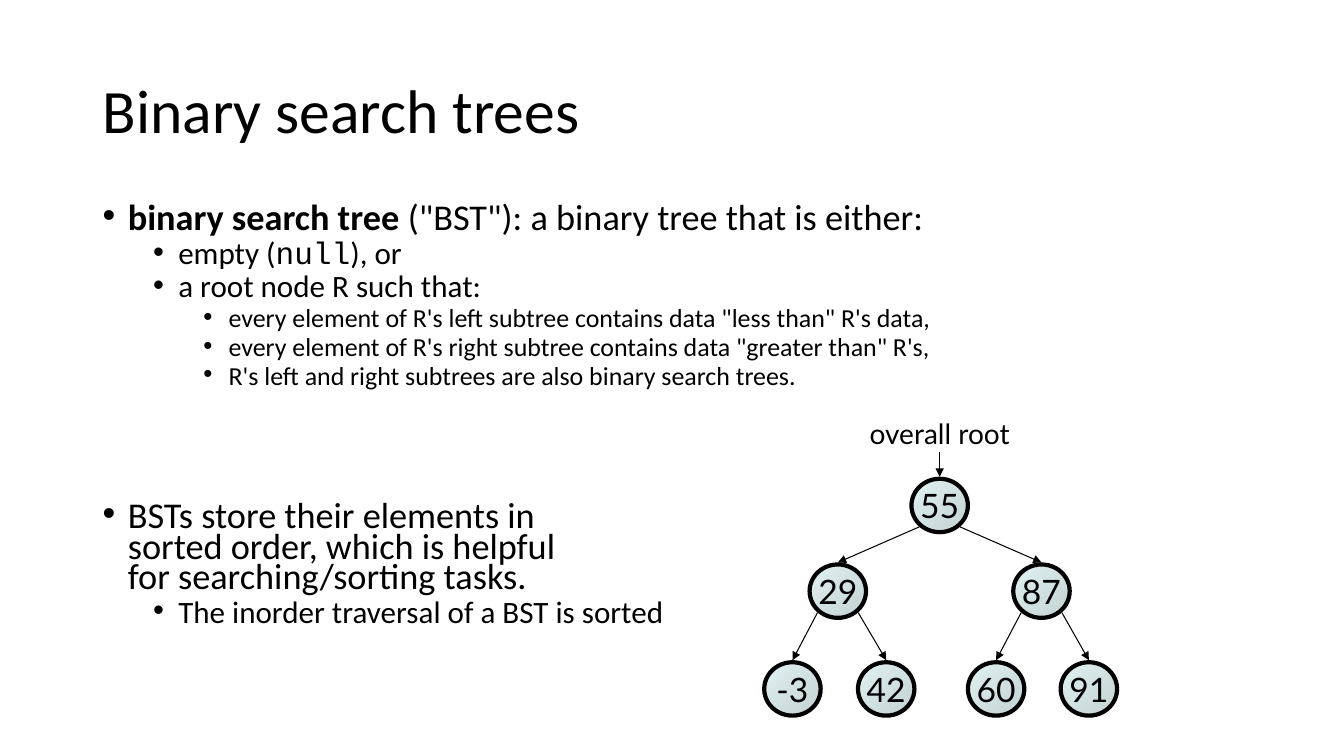
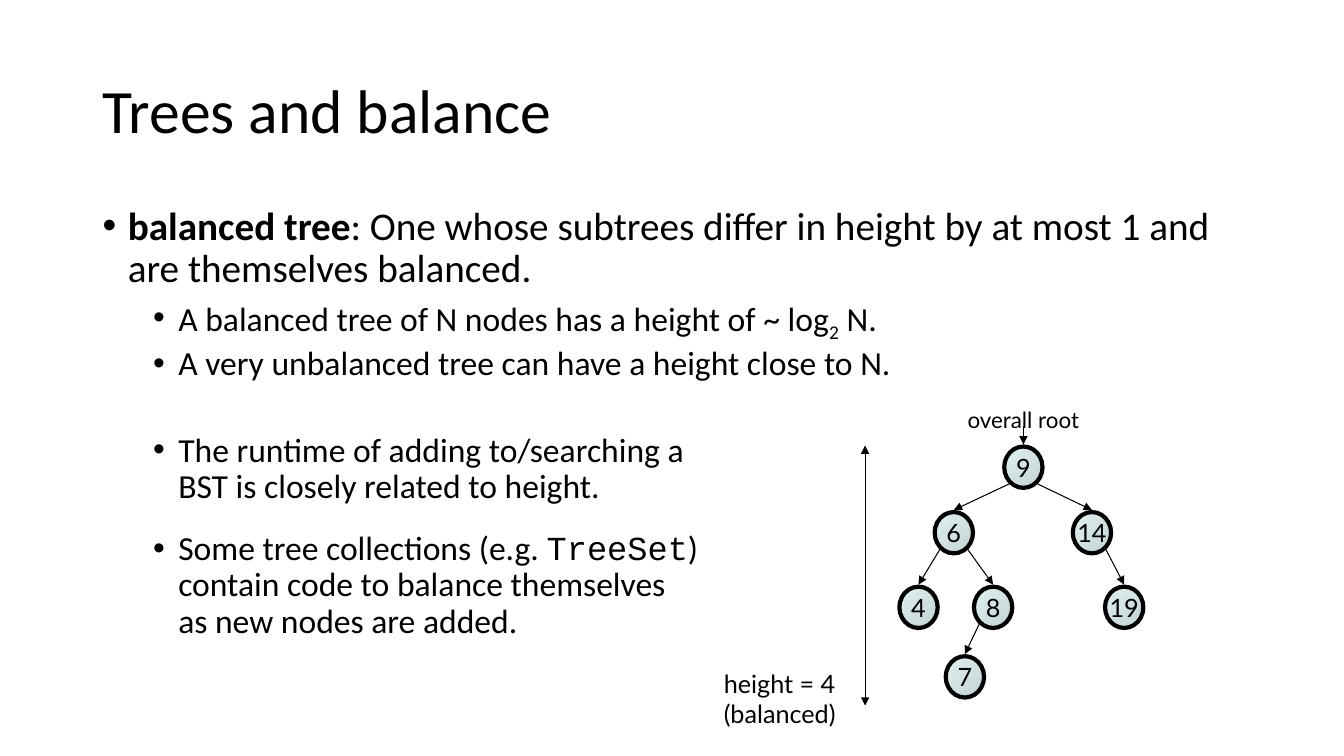
from dataclasses import dataclass

from lxml import etree
from pptx import Presentation
from pptx.dml.color import RGBColor
from pptx.enum import shapes, text
from pptx.oxml import ns
from pptx.util import Inches, Pt

BLACK = RGBColor(0, 0, 0)
LIGHT = RGBColor(0xE1, 0xF2, 0xF3)
DARK = RGBColor(0xC3, 0xD2, 0xD3)
BODY, MONO, LABEL = "Calibri", "Courier New", "Lato"


@dataclass(frozen=True)
class Span:
    text: str
    bold: bool = False
    font: str = BODY
    base: int = 0


@dataclass(frozen=True)
class Point:
    level: int
    spans: list[Span]
    gap: float = 0  # points before; 0 means the usual gap of the level


@dataclass(frozen=True)
class Node:
    key: int
    x: float
    kids: tuple["Node", ...] = ()


@dataclass(frozen=True)
class Tree:
    root: Node
    rows: list[float]
    wide: float
    high: float
    size: int
    label: float
    note: int


def style(run, size: float, font: str = BODY) -> None:
    run.font.size = Pt(size)
    run.font.name = font
    run.font.color.rgb = BLACK


def add_box(slide, left: float, top: float, width: float, height: float, wrap: bool = True):
    box = slide.shapes.add_textbox(Inches(left), Inches(top), Inches(width), Inches(height))
    box.text_frame.word_wrap = wrap
    return box.text_frame


def add_title(slide, words: str) -> None:
    frame = add_box(slide, 0.92, 0.4, 11.5, 1.45)
    frame.vertical_anchor = text.MSO_ANCHOR.MIDDLE
    frame.text = words
    para = frame.paragraphs[0]
    para.line_spacing = 0.9
    style(para.runs[0], 44)


def add_note(slide, left: float, top: float, width: float, height: float,
             words: str, size: int, align) -> None:
    frame = add_box(slide, left, top, width, height, wrap=False)
    frame.text = words
    for para in frame.paragraphs:
        para.alignment = align
        style(para.runs[0], size, LABEL)


def set_bullet(para, level: int) -> None:
    props = para._p.get_or_add_pPr()
    props.set("marL", str(Inches(0.25 + 0.5 * level)))
    props.set("indent", str(Inches(-0.25)))
    etree.SubElement(props, ns.qn("a:buFont")).set("typeface", "Arial")
    etree.SubElement(props, ns.qn("a:buChar")).set("char", "•")


def add_span(para, span: Span, size: float) -> None:
    for i, line in enumerate(span.text.split("\n")):
        if i:
            para.add_line_break()
        run = para.add_run()
        run.text = line
        style(run, size, span.font)
        run.font.bold = span.bold
        if span.base:
            run._r.get_or_add_rPr().set("baseline", str(span.base * 1000))


def add_points(slide, points: list[Point], sizes: list[float], spacing: float) -> None:
    """Fill the body with bullets; sizes holds one text size per level."""
    frame = add_box(slide, 0.92, 2, 11.5, 4.76)
    for i, point in enumerate(points):
        para = frame.add_paragraph() if i else frame.paragraphs[0]
        para.level = point.level
        para.line_spacing = spacing
        para.space_before = Pt(point.gap or (5 if point.level else 10))
        set_bullet(para, point.level)
        for span in point.spans:
            add_span(para, span, sizes[point.level])


def add_arrow(slide, x1: float, y1: float, x2: float, y2: float, both: bool = False) -> None:
    arrow = slide.shapes.add_connector(
        shapes.MSO_CONNECTOR.STRAIGHT, Inches(x1), Inches(y1), Inches(x2), Inches(y2))
    arrow.line.color.rgb = BLACK
    arrow.line.width = Pt(0.75)
    line = arrow.line._get_or_add_ln()
    for end in ("headEnd", "tailEnd") if both else ("tailEnd",):
        etree.SubElement(line, ns.qn(f"a:{end}")).set("type", "triangle")
    etree.SubElement(arrow._element.spPr, ns.qn("a:effectLst"))


def add_node(slide, tree: Tree, node: Node, depth: int = 0) -> None:
    """Draw a node, then its subtrees and the arrows to them."""
    top = tree.rows[depth]
    oval = slide.shapes.add_shape(
        shapes.MSO_SHAPE.OVAL, Inches(node.x - tree.wide / 2), Inches(top),
        Inches(tree.wide), Inches(tree.high))
    oval.shadow.inherit = False
    oval.fill.gradient()
    oval.fill.gradient_angle = 315
    for stop, color in zip(oval.fill.gradient_stops, (LIGHT, DARK)):
        stop.color.rgb = color
    oval.line.color.rgb = BLACK
    oval.line.width = Pt(3)
    frame = oval.text_frame
    frame.word_wrap = False
    frame.vertical_anchor = text.MSO_ANCHOR.MIDDLE
    frame.text = str(node.key)
    frame.paragraphs[0].alignment = text.PP_ALIGN.CENTER
    style(frame.paragraphs[0].runs[0], tree.size, LABEL)
    for kid in node.kids:
        add_node(slide, tree, kid, depth + 1)
        side = 0.36 * tree.wide * (1 if kid.x > node.x else -1)
        add_arrow(slide, node.x + side, top + 0.9 * tree.high,
                  kid.x, tree.rows[depth + 1] - 0.02)


def add_tree(slide, tree: Tree) -> None:
    add_node(slide, tree, tree.root)
    x, top = tree.root.x, tree.rows[0]
    add_note(slide, x - 0.8, tree.label, 1.6, 0.4, "overall root",
             tree.note, text.PP_ALIGN.CENTER)
    add_arrow(slide, x, top - tree.high / 2, x, top - 0.02)


SEARCH = [
    Point(0, [Span("binary search tree", bold=True),
              Span(' ("BST"): a binary tree that is either:')]),
    Point(1, [Span("empty ("), Span("null", font=MONO), Span("), or")]),
    Point(1, [Span("a root node R such that:")]),
    Point(2, [Span('every element of R\'s left subtree contains data "less than" R\'s data,')]),
    Point(2, [Span('every element of R\'s right subtree contains data "greater than" R\'s,')]),
    Point(2, [Span("R's left and right subtrees are also binary search trees.")]),
    Point(0, [Span("BSTs store their elements in\nsorted order, which is helpful\n"
                   "for searching/sorting tasks.")], gap=82),
    Point(1, [Span("The inorder traversal of a BST is sorted")]),
]
BALANCE = [
    Point(0, [Span("balanced tree", bold=True),
              Span(": One whose subtrees differ in height by at most 1 and "
                   "are themselves balanced.")]),
    Point(1, [Span("A balanced tree of N nodes has a height of ~ log"),
              Span("2", base=-25), Span(" N.")]),
    Point(1, [Span("A very unbalanced tree can have a height close to N.")]),
    Point(1, [Span("The runtime of adding to/searching a\n"
                   "BST is closely related to height.")], gap=36),
    Point(1, [Span("Some tree collections (e.g. "), Span("TreeSet", font=MONO),
              Span(")\ncontain code to balance themselves\nas new nodes are added.")],
          gap=18.5),
]
LARGE = Tree(
    Node(55, 9.32, (
        Node(29, 8.31, (Node(-3, 7.86), Node(42, 8.79))),
        Node(87, 10.33, (Node(60, 9.88), Node(91, 10.8))))),
    rows=[4.75, 5.6, 6.57], wide=0.56, high=0.53, size=24, label=4.08, note=20)
SMALL = Tree(
    Node(9, 10.15, (
        Node(6, 9.46, (Node(4, 9.11), Node(8, 9.85, (Node(7, 9.57),)))),
        Node(14, 10.83, (Node(19, 11.15),)))),
    rows=[4.43, 5.08, 5.82, 6.51], wide=0.38, high=0.41, size=18, label=3.98, note=16)


def main() -> None:
    deck = Presentation()
    deck.slide_width, deck.slide_height = Inches(13.33), Inches(7.5)
    blank = deck.slide_layouts[6]

    slide = deck.slides.add_slide(blank)
    add_title(slide, "Binary search trees")
    add_points(slide, SEARCH, [25.9, 22.2, 18.5], 0.7)
    add_tree(slide, LARGE)

    slide = deck.slides.add_slide(blank)
    add_title(slide, "Trees and balance")
    add_points(slide, BALANCE, [28, 24], 0.9)
    add_tree(slide, SMALL)
    add_arrow(slide, 8.58, 4.42, 8.58, 7, both=True)
    add_note(slide, 7.08, 6.58, 1.38, 0.7, "height = 4\n(balanced)", 18, text.PP_ALIGN.LEFT)

    deck.save("out.pptx")


if __name__ == "__main__":
    main()
